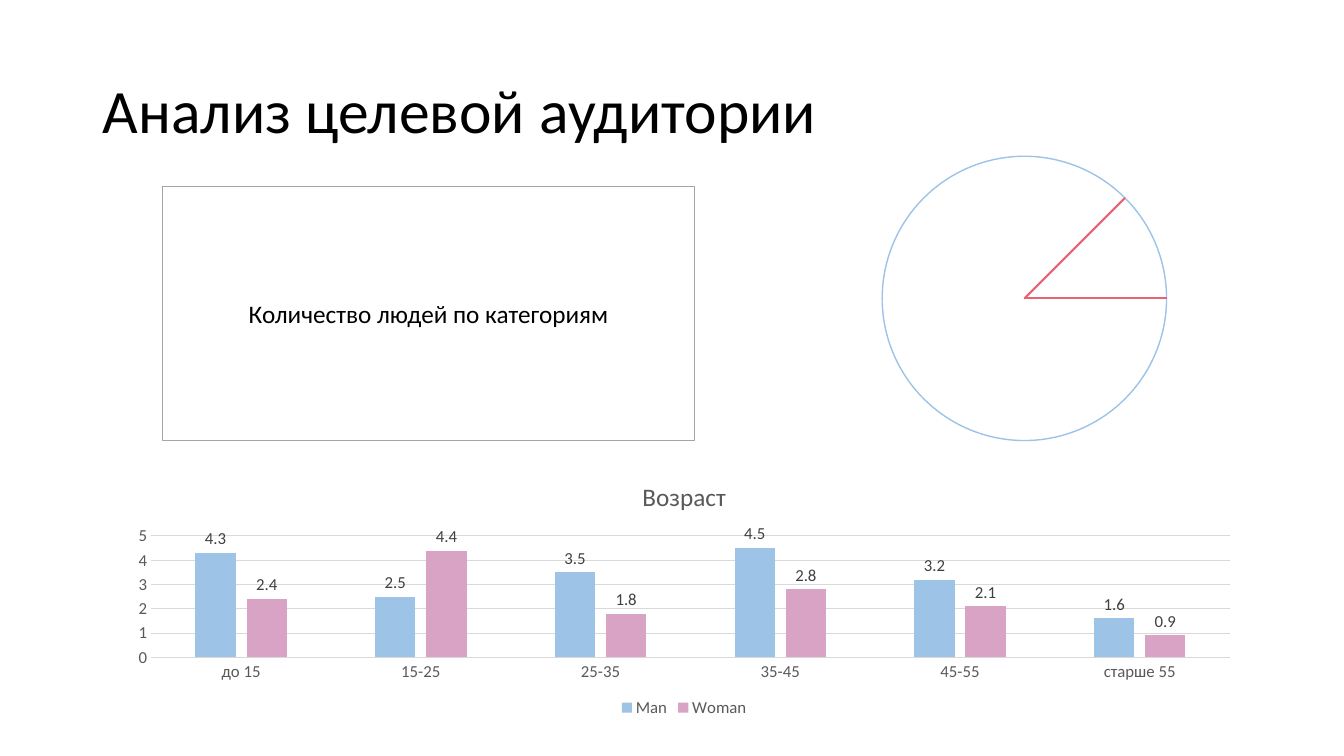
from dataclasses import dataclass
from math import cos, radians, sin

from lxml.etree import SubElement
from pptx import Presentation
from pptx.chart.data import CategoryChartData
from pptx.dml.color import RGBColor
from pptx.enum.chart import XL_CHART_TYPE as ChartType
from pptx.enum.chart import XL_LABEL_POSITION as LabelPosition
from pptx.enum.chart import XL_LEGEND_POSITION as LegendPosition
from pptx.enum.chart import XL_TICK_MARK as TickMark
from pptx.enum.shapes import MSO_CONNECTOR as Connector
from pptx.enum.shapes import MSO_SHAPE as Shape
from pptx.enum.text import MSO_ANCHOR as Anchor
from pptx.enum.text import PP_ALIGN as Align
from pptx.oxml.ns import qn
from pptx.util import Inches, Pt

WIDTH, HEIGHT = Inches(13.33), Inches(7.5)
FONT = "Calibri"
BLACK, WHITE, BLUE, PINK, RED = "000000", "FFFFFF", "9DC3E6", "D9A3C6", "E76376"
DARK, GREY, FRAME_GREY, PALE = "404040", "595959", "A5A5A5", "D9D9D9"
SPOKE_ANGLES = (45, 0)
AGES = ("до 15", "15-25", "25-35", "35-45", "45-55", "старше 55")


@dataclass(frozen=True)
class Area:
    """A rectangle in percent of the slide's width and height."""
    left: float
    top: float
    width: float
    height: float

    def box(self) -> tuple[int, int, int, int]:
        return (int(WIDTH * self.left / 100), int(HEIGHT * self.top / 100),
                int(WIDTH * self.width / 100), int(HEIGHT * self.height / 100))


@dataclass(frozen=True)
class Outline:
    kind: Shape
    area: Area
    color: str


@dataclass(frozen=True)
class Group:
    name: str
    color: str
    values: tuple[float, ...]


TITLE_AREA = Area(6.9, 5.33, 86.27, 19.33)
CHART_AREA = Area(8.63, 61.47, 84.55, 34)
CAPTION_BOX = Outline(Shape.RECTANGLE, Area(12.08, 24.67, 39.61, 33.6), FRAME_GREY)
CIRCLE = Outline(Shape.OVAL, Area(65.64, 20.67, 21.16, 37.6), BLUE)
GROUPS = (
    Group("Man", BLUE, (4.3, 2.5, 3.5, 4.5, 3.2, 1.6)),
    Group("Woman", PINK, (2.4, 4.4, 1.8, 2.8, 2.1, 0.9)),
)


def rgb(color: str) -> RGBColor:
    return RGBColor.from_string(color)


def set_font(font, size: float, color: str) -> None:
    font.name, font.size, font.bold = FONT, Pt(size), False
    font.color.rgb = rgb(color)


def set_line(line, color: str, width: float) -> None:
    line.color.rgb = rgb(color)
    line.width = Pt(width)


def add_title(slide, text: str) -> None:
    title = slide.shapes.title
    title.left, title.top, title.width, title.height = TITLE_AREA.box()
    title.text_frame.text = text
    title.text_frame.vertical_anchor = Anchor.MIDDLE
    para = title.text_frame.paragraphs[0]
    para.alignment, para.line_spacing = Align.LEFT, 0.9
    set_font(para.font, 44, BLACK)


def add_outline(slide, outline: Outline, text: str = ""):
    shape = slide.shapes.add_shape(outline.kind, *outline.area.box())
    shape.shadow.inherit = False
    shape.fill.solid()
    shape.fill.fore_color.rgb = rgb(WHITE)
    set_line(shape.line, outline.color, 1)
    if text:
        shape.text_frame.text = text
        shape.text_frame.vertical_anchor = Anchor.MIDDLE
        para = shape.text_frame.paragraphs[0]
        para.alignment = Align.CENTER
        set_font(para.font, 18, BLACK)
    return shape


def add_spoke(slide, circle, degrees: float) -> None:
    """Draw a radius from the circle's rim to its centre."""
    radius_x, radius_y = circle.width / 2, circle.height / 2
    center_x, center_y = circle.left + radius_x, circle.top + radius_y
    angle = radians(degrees)
    spoke = slide.shapes.add_connector(
        Connector.STRAIGHT,
        int(center_x + radius_x * cos(angle)), int(center_y - radius_y * sin(angle)),
        int(center_x), int(center_y))
    set_line(spoke.line, RED, 1.5)
    SubElement(spoke.element.spPr, qn("a:effectLst"))


def style_axes(chart) -> None:
    for axis in (chart.category_axis, chart.value_axis):
        axis.major_tick_mark = axis.minor_tick_mark = TickMark.NONE
        set_font(axis.tick_labels.font, 12, GREY)
    set_line(chart.category_axis.format.line, PALE, 0.75)
    values = chart.value_axis
    values.format.line.fill.background()
    values.minimum_scale, values.maximum_scale, values.major_unit = 0, 5, 1
    set_line(values.major_gridlines.format.line, PALE, 0.75)


def style_series(series, group: Group) -> None:
    series.format.fill.solid()
    series.format.fill.fore_color.rgb = rgb(group.color)
    labels = series.data_labels
    labels.show_value = True
    labels.position = LabelPosition.OUTSIDE_END
    set_font(labels.font, 12, DARK)


def add_age_chart(slide, title: str) -> None:
    data = CategoryChartData()
    data.categories = AGES
    for group in GROUPS:
        data.add_series(group.name, group.values)
    chart = slide.shapes.add_chart(
        ChartType.COLUMN_CLUSTERED, *CHART_AREA.box(), data).chart
    set_font(chart.font, 10, BLACK)
    chart.has_title = True
    chart.chart_title.include_in_layout = False
    chart.chart_title.text_frame.text = title
    set_font(chart.chart_title.text_frame.paragraphs[0].font, 18, GREY)
    chart.has_legend = True
    chart.legend.position = LegendPosition.BOTTOM
    chart.legend.include_in_layout = False
    set_font(chart.legend.font, 12, GREY)
    style_axes(chart)
    plot = chart.plots[0]
    plot.gap_width, plot.overlap, plot.vary_by_categories = 219, -27, False
    for series, group in zip(plot.series, GROUPS):
        style_series(series, group)


def main() -> None:
    deck = Presentation()
    deck.slide_width, deck.slide_height = WIDTH, HEIGHT
    slide = deck.slides.add_slide(deck.slide_layouts.get_by_name("Title Only"))
    add_title(slide, "Анализ целевой аудитории")
    add_outline(slide, CAPTION_BOX, "Количество людей по категориям")
    circle = add_outline(slide, CIRCLE)
    add_age_chart(slide, "Возраст")
    for degrees in SPOKE_ANGLES:
        add_spoke(slide, circle, degrees)
    deck.save("out.pptx")


if __name__ == "__main__":
    main()
